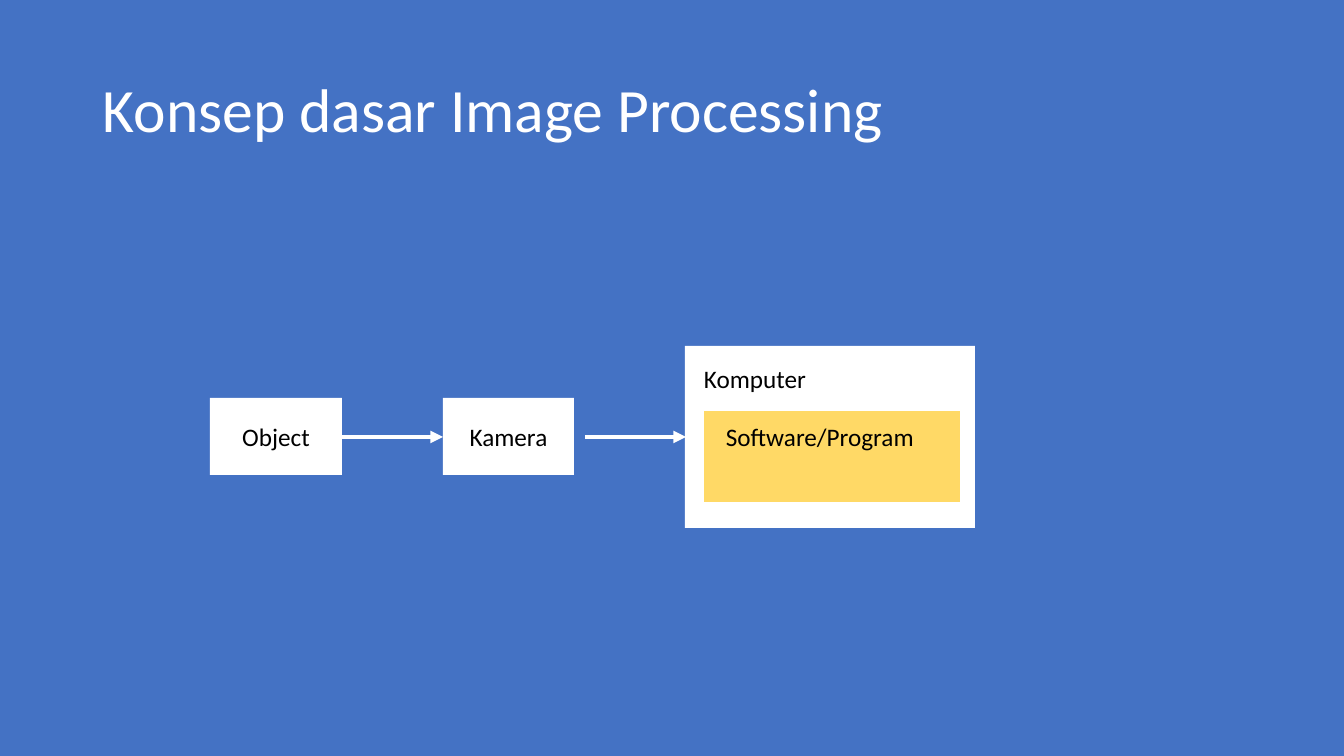
from dataclasses import dataclass

from lxml import etree
from pptx import Presentation
from pptx import util as u
from pptx.dml.color import RGBColor
from pptx.enum import shapes, text
from pptx.oxml import ns

BLUE = RGBColor(0x44, 0x72, 0xC4)
WHITE = RGBColor(0xFF, 0xFF, 0xFF)
YELLOW = RGBColor(0xFF, 0xD9, 0x66)
BLACK = RGBColor(0, 0, 0)
FONT = "Calibri"
SLIDE_WIDTH, SLIDE_HEIGHT = 1344, 756
FLOW_Y = 437
ARROW_LENGTH = 101


@dataclass(frozen=True)
class Area:
    left: int
    top: int
    width: int
    height: int


@dataclass(frozen=True)
class Stage:
    area: Area
    fill: RGBColor
    caption: str
    caption_area: Area | None = None


STAGES = [
    Stage(Area(210, 398, 132, 77), WHITE, "Object"),
    Stage(Area(443, 398, 131, 77), WHITE, "Kamera"),
    Stage(Area(685, 346, 290, 182), WHITE, "Komputer", Area(694, 358, 122, 40)),
    Stage(Area(704, 411, 256, 91), YELLOW, "Software/Program", Area(716, 416, 209, 40)),
]
ARROW_STARTS = [342, 585]


def px(length: int) -> u.Emu:
    return u.Emu(round(length * 914400 / 100.8))


def place(area: Area) -> tuple[u.Emu, ...]:
    return px(area.left), px(area.top), px(area.width), px(area.height)


def write(frame, content: str, *, size: int = 18, color: RGBColor = BLACK,
          align=text.PP_ALIGN.LEFT, anchor=text.MSO_ANCHOR.TOP,
          wrap: bool = True, spacing: float = 1.0) -> None:
    frame.word_wrap = wrap
    frame.vertical_anchor = anchor
    line = frame.paragraphs[0]
    line.text = content
    line.alignment = align
    line.line_spacing = spacing
    line.font.name = FONT
    line.font.size = u.Pt(size)
    line.font.color.rgb = color


def draw_stage(slide, stage: Stage) -> None:
    block = slide.shapes.add_shape(shapes.MSO_SHAPE.RECTANGLE, *place(stage.area))
    block.shadow.inherit = False
    block.fill.solid()
    block.fill.fore_color.rgb = stage.fill
    block.line.fill.background()
    if stage.caption_area:
        caption = slide.shapes.add_textbox(*place(stage.caption_area))
        write(caption.text_frame, stage.caption, wrap=False)
        caption.text_frame.auto_size = text.MSO_AUTO_SIZE.SHAPE_TO_FIT_TEXT
    else:
        write(block.text_frame, stage.caption, align=text.PP_ALIGN.CENTER,
              anchor=text.MSO_ANCHOR.MIDDLE)


def draw_arrow(slide, start: int) -> None:
    arrow = slide.shapes.add_connector(
        shapes.MSO_CONNECTOR.STRAIGHT,
        px(start), px(FLOW_Y), px(start + ARROW_LENGTH), px(FLOW_Y))
    arrow.line.color.rgb = WHITE
    arrow.line.width = u.Pt(3)
    etree.SubElement(arrow.line._get_or_add_ln(), ns.qn("a:tailEnd"), type="triangle")
    etree.SubElement(arrow._element.spPr, ns.qn("a:effectLst"))


def main() -> None:
    deck = Presentation()
    deck.slide_width, deck.slide_height = px(SLIDE_WIDTH), px(SLIDE_HEIGHT)
    slide = deck.slides.add_slide(deck.slide_layouts[6])
    slide.background.fill.solid()
    slide.background.fill.fore_color.rgb = BLUE

    heading = slide.shapes.add_textbox(*place(Area(93, 40, 1159, 146)))
    write(heading.text_frame, "Konsep dasar Image Processing", size=44,
          color=WHITE, anchor=text.MSO_ANCHOR.MIDDLE, spacing=0.9)
    for stage in STAGES:
        draw_stage(slide, stage)
    for start in ARROW_STARTS:
        draw_arrow(slide, start)
    deck.save("out.pptx")


if __name__ == "__main__":
    main()
